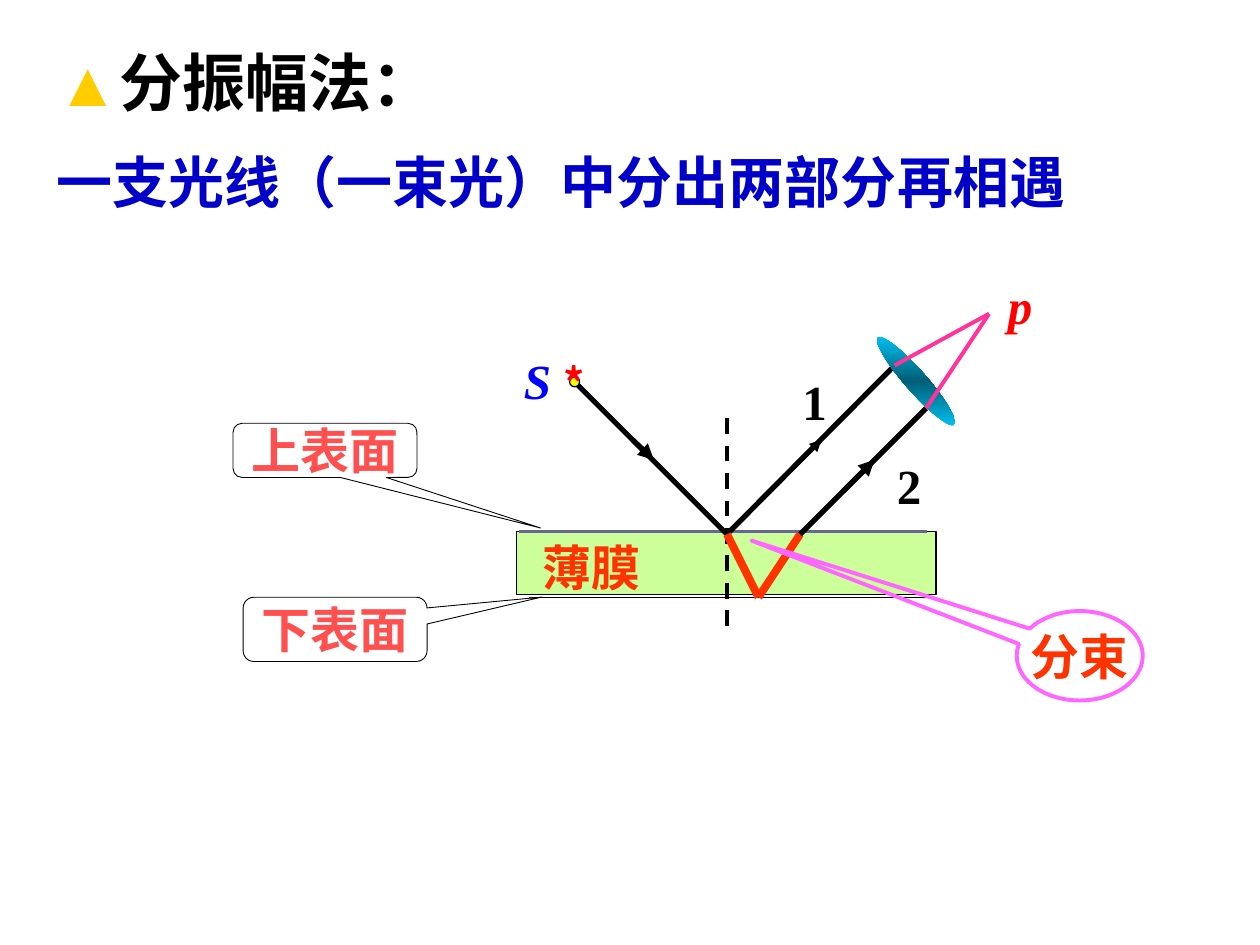
from collections import namedtuple
from copy import deepcopy

from lxml.etree import SubElement
from pptx import Presentation
from pptx.dml.color import RGBColor
from pptx.enum.dml import MSO_LINE
from pptx.enum.shapes import MSO_CONNECTOR, MSO_SHAPE
from pptx.enum.text import MSO_ANCHOR, MSO_AUTO_SIZE, PP_ALIGN
from pptx.oxml.ns import qn
from pptx.util import Pt

PX = 9144  # 100 px to the inch
CJK, ROMAN, ARIAL = "Noto Sans CJK SC", "Times New Roman", "Arial"
COLOURS = {
    "black": "000000", "gold": "FFCC00", "navy": "0000C8", "film": "CCFF99",
    "orange": "FF3300", "slate": "666699", "coral": "FF5050", "yellow": "FFFF00",
    "violet": "FF66FF", "cyan": "00CCFF", "teal": "005E76", "pink": "FF3399",
    "red": "FF0000", "blue": "0000FF",
}
Box = namedtuple("Box", "left top width height")


def rgb(name):
    return RGBColor.from_string(COLOURS[name])


def place(box, left, top, width, height):
    """Turn a place inside the box into EMU on the page."""
    return [n * PX for n in (box.left + left, box.top + top, width, height)]


def set_font(font, size, name, colour, italic=False):
    font.size, font.name, font.bold, font.italic = Pt(size), name, True, italic
    font.color.rgb = rgb(colour)
    SubElement(font._element if hasattr(font, "_element") else font._rPr,
               qn("a:ea"), typeface=name)


def add_span(para, text, *style):
    span = para.add_run()
    span.text = text
    set_font(span.font, *style)


def set_margins(frame, side, end):
    frame.margin_left = frame.margin_right = side * PX
    frame.margin_top = frame.margin_bottom = end * PX


def add_label(page, box, at, text, *style, margins=(10, 5)):
    frame = page.shapes.add_textbox(*place(box, *at)).text_frame
    frame.word_wrap = True
    set_margins(frame, *margins)
    para = frame.paragraphs[0]
    para.text = text
    set_font(para.font, *style)


def add_line(page, box, start, end, colour, width, arrow=False):
    x1, y1 = place(box, *start, 0, 0)[:2]
    x2, y2 = place(box, *end, 0, 0)[:2]
    line = page.shapes.add_connector(MSO_CONNECTOR.STRAIGHT, x1, y1, x2, y2)
    line.line.color.rgb = rgb(colour)
    line.line.width = Pt(width)
    if arrow:
        SubElement(line.line._get_or_add_ln(), qn("a:tailEnd"), type="triangle")
    SubElement(line._element.spPr, qn("a:effectLst"))
    return line


def add_figure(page, box, at, kind, fill=None, outline=None, width=0.75):
    figure = page.shapes.add_shape(kind, *place(box, *at))
    figure.shadow.inherit = False
    if fill:
        figure.fill.solid()
        figure.fill.fore_color.rgb = rgb(fill)
    else:
        figure.fill.background()
    if outline:
        figure.line.color.rgb = rgb(outline)
        figure.line.width = Pt(width)
    else:
        figure.line.fill.background()
    return figure


def add_callout(page, box, kind, tip, text, text_colour, outline, width):
    figure = add_figure(page, box, (0, 0, box.width, box.height), kind,
                        None, outline, width)
    for index, value in enumerate(tip):
        figure.adjustments[index] = value
    frame = figure.text_frame
    frame.word_wrap = False
    frame.vertical_anchor = MSO_ANCHOR.MIDDLE
    set_margins(frame, 10, 5)
    para = frame.paragraphs[0]
    para.text = text
    para.alignment = PP_ALIGN.CENTER
    set_font(para.font, 28, CJK, text_colour)


def add_heading(page, box):
    title = page.shapes.title
    title.left, title.top, title.width, title.height = place(
        box, 0, 0, box.width, box.height)
    frame = title.text_frame
    frame.word_wrap = True
    frame.auto_size = MSO_AUTO_SIZE.NONE
    frame.vertical_anchor = MSO_ANCHOR.TOP
    set_margins(frame, 10, 5)
    method, summary = frame.paragraphs[0], frame.add_paragraph()
    for para in (method, summary):
        para.alignment = PP_ALIGN.LEFT
        para.line_spacing = 0.9
    summary.space_before = Pt(20)
    add_span(method, "▲", 36, ARIAL, "gold")
    add_span(method, "分振幅法：", 36, CJK, "black")
    add_span(summary, "一支光线（一束光）中分出两部分再相遇", 32, CJK, "navy")


def add_film(page, box):
    """The film, with a line along each of its surfaces."""
    add_figure(page, box, (0, 0, box.width, box.height), MSO_SHAPE.RECTANGLE,
               "film", "black")
    add_label(page, box, (11, 0, 133, 57), "薄膜", 28, CJK, "orange")
    add_line(page, box, (2, 0), (326, 0), "slate", 1.5)
    add_line(page, box, (10, 52), (334, 52), "black", 0.5)


def add_rays(page, box):
    """Rays that meet the film at the top left corner of the box."""
    hit, bottom, leave = (0, 0), (25, 50), (58, 0)
    source = (-125, -125)
    add_line(page, box, source, hit, "black", 3)
    add_figure(page, box, (*source, 8, 8), MSO_SHAPE.OVAL, "yellow", "black")
    add_line(page, box, (-75, -75), (-58, -59), "black", 3, arrow=True)

    normal = add_line(page, box, (0, -92), (0, 75), "black", 2.25)
    normal.line.dash_style = MSO_LINE.DASH

    add_line(page, box, hit, (133, -134), "black", 3)
    add_line(page, box, (50, -50), (75, -75), "black", 2.25, arrow=True)
    add_label(page, box, (50, -134, 42, 57), "1", 28, ROMAN, "black")

    add_line(page, box, hit, bottom, "orange", 4.5)
    add_line(page, box, bottom, leave, "orange", 4.5)
    add_line(page, box, leave, (158, -100), "black", 3)
    add_line(page, box, (92, -34), (117, -59), "black", 3, arrow=True)
    add_label(page, box, (125, -67, 67, 57), "2", 28, ROMAN, "black")


def add_lens(page, box):
    """The tilted lens and the two rays it brings together at p."""
    lens = add_figure(page, box, (0, 45, 92, 17), MSO_SHAPE.OVAL, "cyan")
    lens.rotation = 48.7
    lens.fill.gradient()
    lens.fill.gradient_angle = 270
    gradient = lens._element.spPr.find(qn("a:gradFill"))
    gradient.set("rotWithShape", "0")
    stop_list = gradient.find(qn("a:gsLst"))
    stop_list.append(deepcopy(stop_list[0]))
    for stop, colour, position in zip(lens.fill.gradient_stops,
                                      ("cyan", "teal", "cyan"), (0, 0.5, 1)):
        stop.color.rgb = rgb(colour)
        stop.position = position
    focus = (104, 0)
    for start in ((29, 41), (54, 75)):
        add_line(page, box, start, focus, "pink", 2.25)
    add_label(page, box, (118, -31, 64, 100), "p", 28, ROMAN, "red", True,
              margins=(1, 1))


def add_source_name(page, box):
    frame = page.shapes.add_textbox(
        *place(box, 0, 0, box.width, box.height)).text_frame
    frame.word_wrap = True
    set_margins(frame, 10, 5)
    para = frame.paragraphs[0]
    add_span(para, "S ", 28, ROMAN, "blue", True)
    add_span(para, "*", 24, CJK, "red")


def main():
    deck = Presentation()
    deck.slide_width, deck.slide_height = 1000 * PX, 750 * PX
    page = deck.slides.add_slide(deck.slide_layouts[5])
    add_heading(page, Box(35, 36, 941, 140))
    add_film(page, Box(410, 422, 333, 50))
    rounded = MSO_SHAPE.ROUNDED_RECTANGULAR_CALLOUT
    for box, tip, text in (
            (Box(185, 336, 146, 43), (1.171, 1.433, 0.167), "上表面"),
            (Box(193, 474, 146, 51), (1.123, -0.503, 0.167), "下表面")):
        add_callout(page, box, rounded, tip, text, "coral", "black", 0.5)
    add_rays(page, Box(577, 424, 158, 75))
    add_callout(page, Box(807, 485, 100, 71), MSO_SHAPE.OVAL_CALLOUT,
                (-2.606, -1.289), "分束", "orange", "violet", 2.25)
    add_lens(page, Box(681, 249, 182, 100))
    add_source_name(page, Box(406, 273, 176, 55))
    deck.save("out.pptx")


if __name__ == "__main__":
    main()
